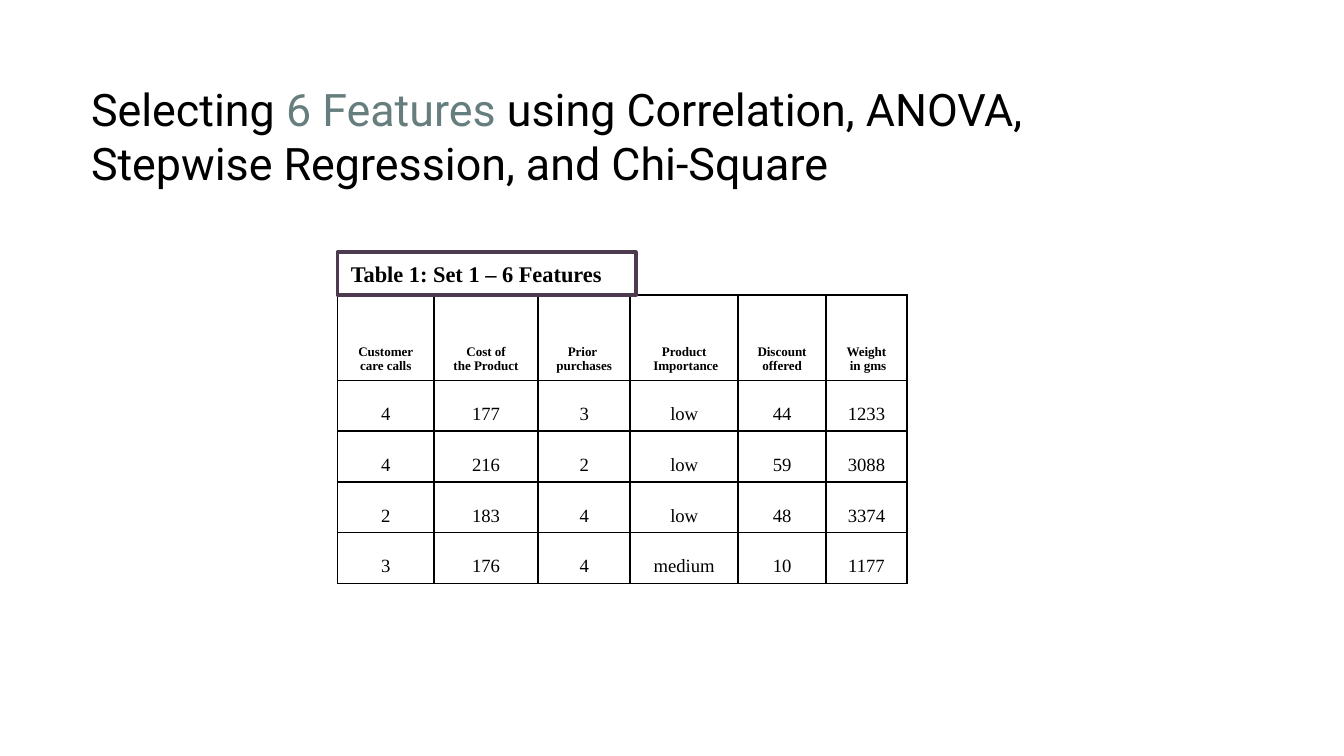
"""Build a slide that shows the six selected features in a table."""
from lxml import etree
from pptx import Presentation
from pptx import util as u
from pptx.dml.color import RGBColor
from pptx.enum import shapes, text
from pptx.oxml import ns

SERIF = "Times New Roman"
BLACK, WHITE, TEAL, PLUM = "000000", "FFFFFF", "677E7E", "4E3A4F"
TABLE_LEFT, TABLE_TOP = 6.38, 5.58
COLUMN_WIDTHS = [1.82, 1.97, 1.74, 2.04, 1.66, 1.53]
HEADER_HEIGHT, ROW_HEIGHT = 1.61, 0.96
HEADERS = [
    ["Customer", "care calls"],
    ["Cost of the\u00a0Product"],
    ["Prior\u00a0", "purchases"],
    ["Product", "\u00a0Importance"],
    ["Discount", "offered"],
    ["Weight", "\u00a0in\u00a0gms"],
]
ROWS = [
    ["4", "177", "3", "low", "44", "1233"],
    ["4", "216", "2", "low", "59", "3088"],
    ["2", "183", "4", "low", "48", "3374"],
    ["3", "176", "4", "medium", "10", "1177"],
]


def color(value):
    """Return the colour for a hex string."""
    return RGBColor.from_string(value)


def add_text(paragraph, words, font=SERIF, size=10, fill=BLACK, bold=False, align=None):
    """Add one formatted run to a paragraph."""
    run = paragraph.add_run()
    run.text = words
    run.font.name = font
    run.font.size = u.Pt(size)
    run.font.bold = bold
    run.font.color.rgb = color(fill)
    if align is not None:
        paragraph.alignment = align


def add_title(slide, parts):
    """Place the title and write its coloured parts."""
    title = slide.shapes.title
    title.left, title.top = u.Cm(1.47), u.Cm(1.3)
    title.width, title.height = u.Cm(21.41), u.Cm(1.6)
    frame = title.text_frame
    frame.margin_left = frame.margin_right = u.Cm(0.25)
    frame.margin_top = frame.margin_bottom = u.Cm(0.25)
    frame.word_wrap = True
    frame.auto_size = text.MSO_AUTO_SIZE.NONE
    frame.vertical_anchor = text.MSO_ANCHOR.TOP
    for words, fill in parts:
        add_text(frame.paragraphs[0], words, font="Roboto", size=24, fill=fill,
                 align=text.PP_ALIGN.LEFT)


def set_borders(cell, fill=BLACK, width=0.92):
    """Draw a solid line on all four sides of a cell."""
    properties = cell._tc.get_or_add_tcPr()
    for side in ("a:lnL", "a:lnR", "a:lnT", "a:lnB"):
        line = etree.SubElement(properties, ns.qn(side), w=str(u.Pt(width)))
        solid = etree.SubElement(line, ns.qn("a:solidFill"))
        etree.SubElement(solid, ns.qn("a:srgbClr"), val=fill)


def fill_cell(cell, lines, **text_format):
    """Write centred lines at the bottom of a bordered cell."""
    set_borders(cell)
    cell.fill.background()
    cell.vertical_anchor = text.MSO_ANCHOR.BOTTOM
    frame = cell.text_frame
    for index, words in enumerate(lines):
        paragraph = frame.add_paragraph() if index else frame.paragraphs[0]
        add_text(paragraph, words, align=text.PP_ALIGN.CENTER, **text_format)


def add_feature_table(slide):
    """Add the table with its header and data rows."""
    height = HEADER_HEIGHT + ROW_HEIGHT * len(ROWS)
    table = slide.shapes.add_table(
        len(ROWS) + 1, len(HEADERS), u.Cm(TABLE_LEFT), u.Cm(TABLE_TOP),
        u.Cm(sum(COLUMN_WIDTHS)), u.Cm(height)).table
    table.horz_banding = False
    for column, width in zip(table.columns, COLUMN_WIDTHS):
        column.width = u.Cm(width)
    for index, row in enumerate(table.rows):
        row.height = u.Cm(ROW_HEIGHT if index else HEADER_HEIGHT)
    for column, lines in enumerate(HEADERS):
        fill_cell(table.cell(0, column), lines, size=7, bold=True)
    for row, values in enumerate(ROWS, start=1):
        for column, value in enumerate(values):
            fill_cell(table.cell(row, column), [value])


def add_caption(slide, words):
    """Add the framed caption that sits on top of the table."""
    height = 0.81
    caption = slide.shapes.add_shape(
        shapes.MSO_SHAPE.RECTANGLE, u.Cm(TABLE_LEFT), u.Cm(TABLE_TOP - height),
        u.Cm(5.64), u.Cm(height))
    caption.shadow.inherit = False
    caption.fill.solid()
    caption.fill.fore_color.rgb = color(WHITE)
    caption.line.color.rgb = color(PLUM)
    caption.line.width = u.Pt(2)
    frame = caption.text_frame
    frame.word_wrap = True
    frame.vertical_anchor = text.MSO_ANCHOR.MIDDLE
    add_text(frame.paragraphs[0], words, size=12, bold=True, align=text.PP_ALIGN.LEFT)


def main():
    """Build and save the presentation."""
    presentation = Presentation()
    presentation.slide_width, presentation.slide_height = u.Cm(25.4), u.Cm(14.29)
    slide = presentation.slides.add_slide(presentation.slide_layouts.get_by_name("Title Only"))
    add_title(slide, [
        ("Selecting ", BLACK),
        ("6 Features ", TEAL),
        ("using Correlation, ANOVA, Stepwise Regression, and Chi-Square", BLACK),
    ])
    add_feature_table(slide)
    add_caption(slide, "Table 1: Set 1 – 6 Features")
    presentation.save("out.pptx")


if __name__ == "__main__":
    main()
